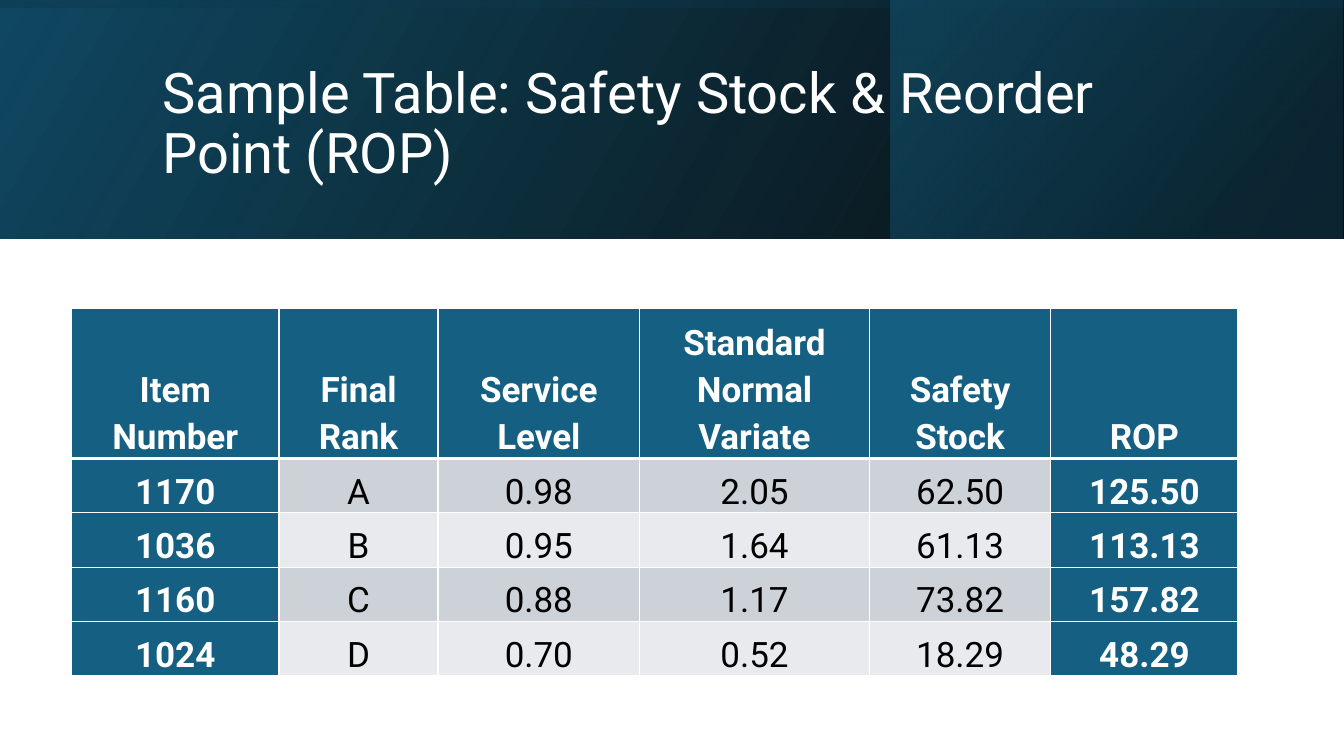
from dataclasses import dataclass

from lxml import etree
from pptx import Presentation
from pptx.dml.color import RGBColor
from pptx.enum import shapes, text
from pptx.oxml import ns
from pptx.slide import Slide
from pptx.table import _Cell
from pptx.text.text import _Paragraph
from pptx.util import Cm, Pt


@dataclass(frozen=True)
class Theme:
    font: str = "Roboto"
    light: str = "FFFFFF"
    dark: str = "000000"
    accent: str = "156082"
    bands: tuple[str, str] = ("CCD2D8", "E8EAED")
    title_size: int = 40
    table_size: int = 25
    rule: int = 1
    header_rule: int = 3


@dataclass(frozen=True)
class Stop:
    position: int
    color: str
    opacity: int


@dataclass(frozen=True)
class Panel:
    """Mirrored rectangle, in centimetres, with a linear gradient."""
    left: float
    top: float
    width: float
    height: float
    angle: int
    stops: tuple[Stop, ...]
    rotation: int = 0


THEME = Theme()
SLIDE_WIDTH, SLIDE_HEIGHT = 33.87, 19.05
BANNER_HEIGHT = 6.02

PANELS = (
    Panel(0, 0, SLIDE_WIDTH, BANNER_HEIGHT, 330,
          (Stop(0, "000000", 96), Stop(100, "104862", 100))),
    Panel(22.45, 0, 11.38, BANNER_HEIGHT, 320,
          (Stop(19, "0B3041", 68), Stop(100, "156082", 48))),
    Panel(13.92, -13.92, BANNER_HEIGHT, SLIDE_WIDTH, 350,
          (Stop(23, "104862", 16), Stop(99, "000000", 45)), rotation=270),
)

TITLE = "Sample Table: Safety Stock & Reorder Point (ROP)"
COLUMN_WIDTHS = (5.23, 4.01, 5.08, 5.79, 4.57, 4.72)
HEADER_HEIGHT, ROW_HEIGHT = 3.78, 1.37
ROWS = (
    ("Item Number", "Final Rank", "Service Level", "Standard Normal Variate",
     "Safety Stock", "ROP"),
    ("1170", "A", "0.98", "2.05", "62.50", "125.50"),
    ("1036", "B", "0.95", "1.64", "61.13", "113.13"),
    ("1160", "C", "0.88", "1.17", "73.82", "157.82"),
    ("1024", "D", "0.70", "0.52", "18.29", "48.29"),
)


def set_attributes(target: object, values: dict[str, object]) -> None:
    for name, value in values.items():
        setattr(target, name, value)


def add_element(parent: etree._Element, tag: str, **attributes: object) -> etree._Element:
    values = {name: str(value) for name, value in attributes.items()}
    return etree.SubElement(parent, ns.qn(tag), values)


def format_font(paragraph: _Paragraph, size: int, color: str, bold: bool) -> None:
    set_attributes(paragraph.font, {"name": THEME.font, "size": Pt(size), "bold": bold})
    paragraph.font.color.rgb = RGBColor.from_string(color)


def draw_panel(slide: Slide, panel: Panel) -> None:
    shape = slide.shapes.add_shape(
        shapes.MSO_SHAPE.RECTANGLE,
        Cm(panel.left), Cm(panel.top), Cm(panel.width), Cm(panel.height))
    shape.shadow.inherit = False
    shape.rotation = panel.rotation
    shape.line.fill.background()
    properties = shape.element.spPr
    properties.find(ns.qn("a:xfrm")).set("flipH", "1")
    gradient = etree.Element(ns.qn("a:gradFill"), rotWithShape="1")
    stops = add_element(gradient, "a:gsLst")
    for stop in panel.stops:
        entry = add_element(stops, "a:gs", pos=stop.position * 1000)
        color = add_element(entry, "a:srgbClr", val=stop.color)
        add_element(color, "a:alpha", val=stop.opacity * 1000)
    add_element(gradient, "a:lin", ang=panel.angle * 60000, scaled=0)
    properties.find(ns.qn("a:prstGeom")).addnext(gradient)


def draw_title(slide: Slide) -> None:
    title = slide.shapes.title
    slide.shapes.element.append(title.element)  # in front of the banner
    set_attributes(title, {"left": Cm(3.84), "top": Cm(0.97),
                           "width": Cm(27), "height": Cm(4.37)})
    frame = title.text_frame
    frame.text = TITLE
    set_attributes(frame, {"word_wrap": True, "auto_size": text.MSO_AUTO_SIZE.NONE,
                           "vertical_anchor": text.MSO_ANCHOR.MIDDLE})
    paragraph = frame.paragraphs[0]
    set_attributes(paragraph, {"alignment": text.PP_ALIGN.LEFT, "line_spacing": 0.9})
    format_font(paragraph, THEME.title_size, THEME.light, False)


def draw_borders(cell: _Cell, top: int, bottom: int) -> None:
    properties = cell._tc.get_or_add_tcPr()
    sides = {"L": THEME.rule, "R": THEME.rule, "T": top, "B": bottom}
    for side, width in sides.items():
        line = add_element(properties, f"a:ln{side}", w=Pt(width))
        fill = add_element(line, "a:solidFill")
        add_element(fill, "a:srgbClr", val=THEME.light)


def draw_cell(cell: _Cell, content: str, row: int, emphasised: bool) -> None:
    draw_borders(cell,
                 top=THEME.header_rule if row == 1 else THEME.rule,
                 bottom=THEME.header_rule if row == 0 else THEME.rule)
    cell.fill.solid()
    background = THEME.accent if emphasised else THEME.bands[(row - 1) % 2]
    cell.fill.fore_color.rgb = RGBColor.from_string(background)
    set_attributes(cell, {"margin_left": Cm(0.43), "margin_right": Cm(0.43),
                          "margin_top": 0, "margin_bottom": 0,
                          "vertical_anchor": text.MSO_ANCHOR.BOTTOM})
    cell.text = content
    paragraph = cell.text_frame.paragraphs[0]
    set_attributes(paragraph, {"alignment": text.PP_ALIGN.CENTER,
                               "line_spacing": 1.15, "space_after": Pt(8)})
    color = THEME.light if emphasised else THEME.dark
    format_font(paragraph, THEME.table_size, color, emphasised)


def draw_stock_table(slide: Slide) -> None:
    heights = [HEADER_HEIGHT] + [ROW_HEIGHT] * (len(ROWS) - 1)
    table = slide.shapes.add_table(
        len(ROWS), len(COLUMN_WIDTHS), Cm(1.8), Cm(7.77),
        Cm(sum(COLUMN_WIDTHS)), Cm(sum(heights))).table
    set_attributes(table, {"first_col": True, "last_col": True, "horz_banding": True})
    for column, width in zip(table.columns, COLUMN_WIDTHS):
        column.width = Cm(width)
    last_column = len(COLUMN_WIDTHS) - 1
    for row, (values, height) in enumerate(zip(ROWS, heights)):
        table.rows[row].height = Cm(height)
        for column, value in enumerate(values):
            emphasised = row == 0 or column in (0, last_column)
            draw_cell(table.cell(row, column), value, row, emphasised)


def main() -> None:
    presentation = Presentation()
    set_attributes(presentation, {"slide_width": Cm(SLIDE_WIDTH),
                                  "slide_height": Cm(SLIDE_HEIGHT)})
    title_only = presentation.slide_layouts.get_by_name("Title Only")
    slide = presentation.slides.add_slide(title_only)
    for panel in PANELS:
        draw_panel(slide, panel)
    draw_title(slide)
    draw_stock_table(slide)
    presentation.save("out.pptx")


if __name__ == "__main__":
    main()
